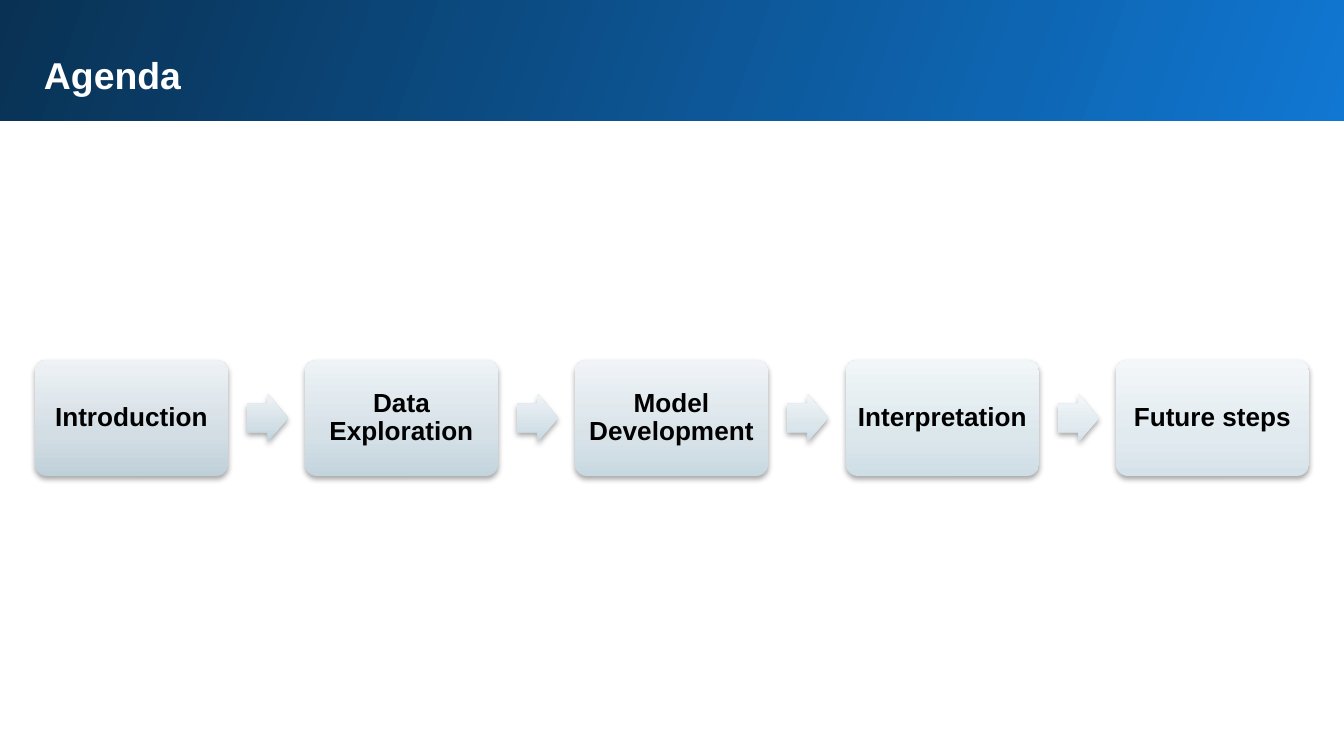
from lxml.etree import SubElement
from pptx import Presentation
from pptx.dml.color import RGBColor
from pptx.enum.shapes import MSO_SHAPE
from pptx.enum.text import MSO_ANCHOR, PP_ALIGN
from pptx.oxml.ns import qn
from pptx.util import Emu, Pt

SCALE = 914400 / 134.4
FONT = "Arial"
WHITE = RGBColor(0xFF, 0xFF, 0xFF)
BLACK = RGBColor(0x00, 0x00, 0x00)
BRIGHT_BLUE = RGBColor(0x10, 0x77, 0xD2)
NAVY = RGBColor(0x09, 0x31, 0x53)


def shades(*codes):
    return [RGBColor.from_string(code) for code in codes]


STEPS = [
    ("Introduction", shades("BFD0D9", "D2DDE4", "EEF2F5")),
    ("Data Exploration", shades("C3D4DD", "D5E0E7", "EEF3F6")),
    ("Model Development", shades("C8D8E1", "D8E3E9", "F0F4F7")),
    ("Interpretation", shades("CFDDE5", "DCE7EC", "F1F6F8")),
    ("Future steps", shades("D6E2EA", "E1EAEF", "F3F7F9")),
]
ARROWS = [
    shades("C0D2DC", "D2DFE6", "EEF3F6"),
    shades("C6D7E1", "D6E2E9", "EFF4F7"),
    shades("CDDCE5", "DBE6EC", "F1F5F8"),
    shades("D5E2EA", "E1EAEF", "F3F7F9"),
]
STEP_STOPS = (0, 35, 100)
FIRST_LEFT, LAST_LEFT = 35, 1116
BOX_TOP, BOX_W, BOX_H = 360, 193, 116
ARROW_W, ARROW_H, ARROW_OFFSET = 41, 48, 212


def px(value):
    return Emu(round(value * SCALE))


class Deck:
    def __init__(self, width, height):
        self.prs = Presentation()
        self.prs.slide_width, self.prs.slide_height = px(width), px(height)
        self.s = self.prs.slides.add_slide(self.prs.slide_layouts[6])

    def shape(self, kind, box, colors, stops, angle, adjustments=()):
        sp = self.s.shapes.add_shape(kind, *map(px, box))
        for i, value in enumerate(adjustments):
            sp.adjustments[i] = value
        sp.fill.gradient()
        sp.fill.gradient_angle = angle
        stop_list = sp.element.spPr.find(".//" + qn("a:gsLst"))
        for old in list(stop_list):
            stop_list.remove(old)
        for color, stop in zip(colors, stops):
            gs = SubElement(stop_list, qn("a:gs"), pos=str(stop * 1000))
            SubElement(gs, qn("a:srgbClr"), val=str(color))
        sp.line.fill.background()
        sp.shadow.inherit = False
        return sp

    def drop_shadow(self, sp):
        effects = sp.element.spPr.find(qn("a:effectLst"))
        shadow = SubElement(effects, qn("a:outerShdw"), blurRad=str(Pt(3)),
                            dist=str(Pt(1.8)), dir="5400000", rotWithShape="0")
        color = SubElement(shadow, qn("a:srgbClr"), val=str(BLACK))
        SubElement(color, qn("a:alpha"), val="35000")

    def text(self, sp, text, size, color, inset, align, anchor, spacing=1.0):
        tf = sp.text_frame
        tf.word_wrap = True
        tf.vertical_anchor = anchor
        tf.margin_left = tf.margin_right = px(inset)
        tf.margin_top = tf.margin_bottom = px(inset)
        p = tf.paragraphs[0]
        p.alignment = align
        p.line_spacing = spacing
        r = p.add_run()
        r.text = text
        r.font.name, r.font.size, r.font.bold = FONT, Pt(size), True
        r.font.color.rgb = color

    def header(self, title):
        self.shape(MSO_SHAPE.RECTANGLE, (-3, -3, 1351, 124),
                   (BRIGHT_BLUE, NAVY), (0, 100), 160)
        sp = self.s.shapes.add_textbox(*map(px, (31, 39, 1259, 69)))
        self.text(sp, title, 20, WHITE, 13, PP_ALIGN.LEFT, MSO_ANCHOR.TOP)

    def step(self, x, label, colors):
        sp = self.shape(MSO_SHAPE.ROUNDED_RECTANGLE, (x, BOX_TOP, BOX_W, BOX_H),
                        colors, STEP_STOPS, 90, (0.1,))
        self.drop_shadow(sp)
        self.text(sp, label, 14, BLACK, 6, PP_ALIGN.CENTER, MSO_ANCHOR.MIDDLE, 0.9)

    def arrow(self, x, colors):
        top = BOX_TOP + (BOX_H - ARROW_H) // 2
        sp = self.shape(MSO_SHAPE.RIGHT_ARROW, (x, top, ARROW_W, ARROW_H),
                        colors, STEP_STOPS, 90, (0.6, 0.5))
        self.drop_shadow(sp)


def main():
    deck = Deck(1344, 756)
    deck.header("Agenda")
    pitch = (LAST_LEFT - FIRST_LEFT) / (len(STEPS) - 1)
    for i, (label, colors) in enumerate(STEPS):
        x = FIRST_LEFT + round(i * pitch)
        deck.step(x, label, colors)
        if i < len(ARROWS):
            deck.arrow(x + ARROW_OFFSET, ARROWS[i])
    deck.prs.save("out.pptx")


if __name__ == "__main__":
    main()
